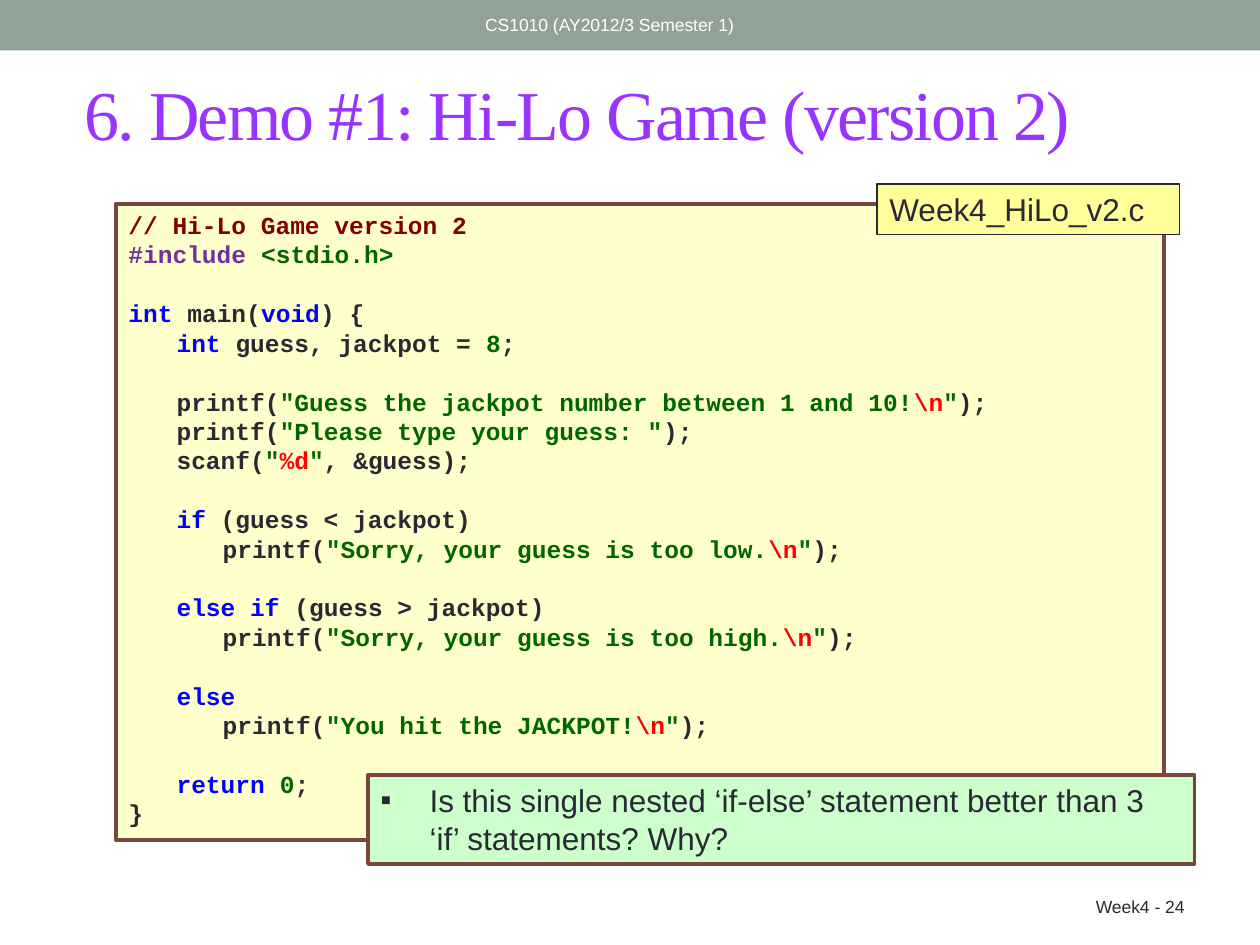
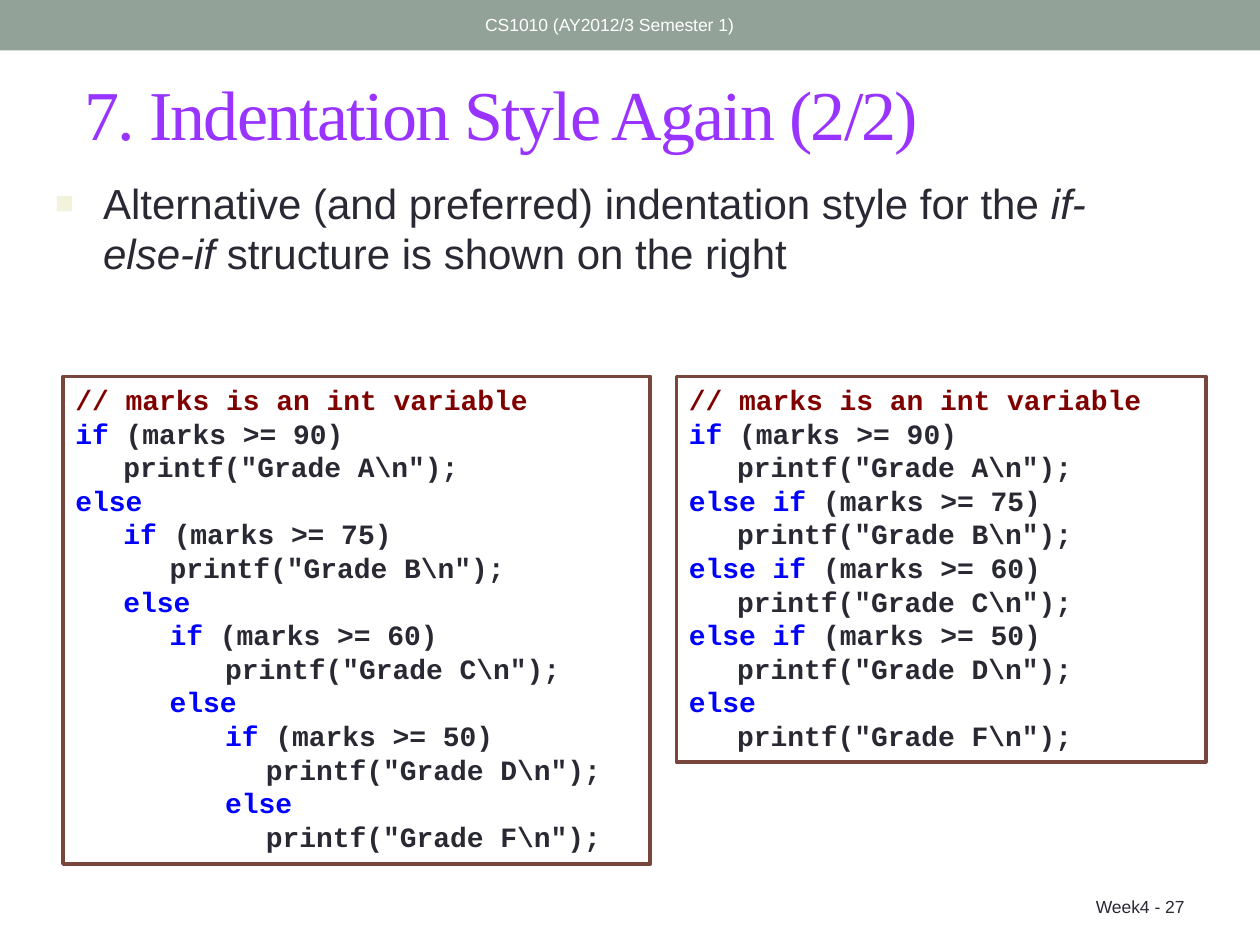
from lxml import etree
from pptx import Presentation
from pptx.dml.color import RGBColor
from pptx.enum import shapes, text
from pptx.oxml import ns
from pptx.util import Cm, Pt

SAGE = RGBColor(0x93, 0xA2, 0x99)
WHITE = RGBColor(0xFF, 0xFF, 0xFF)
INK = RGBColor(0x29, 0x29, 0x34)
PURPLE = RGBColor(0x99, 0x33, 0xFF)
BROWN = RGBColor(0x79, 0x46, 0x3D)
CREAM = RGBColor(0xFF, 0xFF, 0xCC)
YELLOW = RGBColor(0xFF, 0xFF, 0x99)
MINT = RGBColor(0xCC, 0xFF, 0xCC)
MAROON = RGBColor(0x80, 0x00, 0x00)
VIOLET = RGBColor(0x70, 0x30, 0xA0)
GREEN = RGBColor(0x00, 0x66, 0x00)
BLUE = RGBColor(0x00, 0x00, 0xFF)
RED = RGBColor(0xFF, 0x00, 0x00)
TINTS = {"d": INK, "c": MAROON, "p": VIOLET, "g": GREEN, "b": BLUE, "r": RED}

HEADER = "CS1010 (AY2012/3 Semester 1)"
TABS = (0.97, 1.9, 3.02, 3.84, 4.75)

GAME = [
    "|c// Hi-Lo Game version 2",
    "|p#include |g<stdio.h>",
    "",
    "|bint|d main(|bvoid|d) {",
    "|d\t|bint |dguess, jackpot = |g8|d;",
    "",
    '|d\tprintf(|g"Guess the jackpot number between 1 and 10!|r\\n|g"|d);',
    '|d\tprintf(|g"Please type your guess: "|d);',
    '|d\tscanf(|g"|r%d|g"|d, &guess);',
    "",
    "|d\t|bif|d (guess < jackpot)",
    '|d\t\tprintf(|g"Sorry, your guess is too low.|r\\n|g"|d);',
    "",
    "|d\t|belse if|d (guess > jackpot)",
    '|d\t\tprintf(|g"Sorry, your guess is too high.|r\\n|g"|d);',
    "",
    "|d\t|belse",
    '|d\t\tprintf(|g"You hit the JACKPOT!|r\\n|g"|d);',
    "",
    "|d\t|breturn |g0|d;",
    "|d}",
]
NOTE = "|c// marks is an int variable"
NESTED = [
    NOTE,
    "|bif|d (marks >= 90)",
    '|d\tprintf("Grade A\\n");',
    "|belse",
    "|b\tif |d(marks >= 75)",
    '|d\t\tprintf("Grade B\\n");',
    "|b\telse",
    "|b\t\tif |d(marks >= 60)",
    '|d\t\t\tprintf("Grade C\\n");',
    "|b\t\telse",
    "|b\t\t\tif |d(marks >= 50)",
    '|d\t\t\t\tprintf("Grade D\\n");',
    "|b\t\t\telse",
    '|d\t\t\t\tprintf("Grade F\\n");',
]
FLAT = [
    NOTE,
    "|bif|d (marks >= 90)",
    '|d\tprintf("Grade A\\n");',
    "|belse if |d(marks >= 75)",
    '|d\tprintf("Grade B\\n");',
    "|belse if |d(marks >= 60)",
    '|d\tprintf("Grade C\\n");',
    "|belse if |d(marks >= 50)",
    '|d\tprintf("Grade D\\n");',
    "|belse",
    '|d\tprintf("Grade F\\n");',
]
STYLE = [
    ("Alternative (and preferred) indentation style for the ", False),
    ("if-else-if", True),
    (" structure is shown on the right", False),
]
QUERY = [("Is this single nested ‘if-else’ statement better than 3 ‘if’ statements? Why?", False)]


def node(parent, tag, **attrs):
    item = etree.SubElement(parent, ns.qn(tag))
    for key, value in attrs.items():
        item.set(key, str(value))
    return item


def write(para, words, color, **form):
    run = para.add_run()
    run.text = words
    run.font.color.rgb = color
    for key, value in form.items():
        setattr(run.font, key, value)
    return run


def panel(slide, place, fill, line=None, width=2.08):
    box = slide.shapes.add_shape(shapes.MSO_SHAPE.RECTANGLE, *map(Cm, place))
    box.shadow.inherit = False
    box.fill.solid()
    box.fill.fore_color.rgb = fill
    if line is None:
        box.line.fill.background()
    else:
        box.line.color.rgb = line
        box.line.width = Pt(width)
    return setup(box.text_frame)


def setup(frame, anchor=text.MSO_ANCHOR.TOP, align=text.PP_ALIGN.LEFT):
    form = {"word_wrap": True, "auto_size": text.MSO_AUTO_SIZE.NONE, "vertical_anchor": anchor}
    for key, value in form.items():
        setattr(frame, key, value)
    frame.paragraphs[0].alignment = align
    return frame


def label(slide, place, words, color, anchor, align=text.PP_ALIGN.LEFT):
    frame = setup(slide.shapes.add_textbox(*map(Cm, place)).text_frame, anchor, align)
    write(frame.paragraphs[0], words, color, name="Arial", size=Pt(10))


def bullet(frame, parts, size, indent, char, color=INK, scale=100):
    para = frame.paragraphs[0]
    props = para._p.get_or_add_pPr()
    props.set("marL", str(Cm(indent)))
    props.set("indent", str(-Cm(indent)))
    node(node(props, "a:buClr"), "a:srgbClr", val=color)
    node(props, "a:buSzPct", val=scale * 1000)
    node(props, "a:buFont", typeface="Arial")
    node(props, "a:buChar", char=char)
    for words, slant in parts:
        write(para, words, INK, name="Arial", size=Pt(size), italic=slant)


def listing(slide, place, fill, lines, size):
    frame = panel(slide, place, fill, BROWN)
    for row, line in enumerate(lines):
        para = frame.add_paragraph() if row else frame.paragraphs[0]
        para.alignment = text.PP_ALIGN.LEFT
        stops = node(para._p.get_or_add_pPr(), "a:tabLst")
        for tab in TABS:
            node(stops, "a:tab", pos=Cm(tab), algn="l")
        for piece in line.split("|")[1:]:
            write(para, piece[1:], TINTS[piece[0]], name="Courier New", size=Pt(size), bold=True)
        if not line:
            end = node(para._p, "a:endParaRPr", sz=size * 100, b=1)
            node(end, "a:latin", typeface="Courier New")


def start(deck, heading, number):
    slide = deck.slides.add_slide(deck.slide_layouts[5])
    panel(slide, (0, 0, 25.4, 1.02), SAGE)
    title = slide.shapes.title
    for key, value in zip(("left", "top", "width", "height"), (1.45, 1.09, 23.29, 2.34)):
        setattr(title, key, Cm(value))
    frame = setup(title.text_frame, text.MSO_ANCHOR.MIDDLE)
    run = write(frame.paragraphs[0], heading, PURPLE, name="Times New Roman", size=Pt(40))
    run.font._element.set("spc", "-100")
    label(slide, (9.53, 0.05, 11.43, 0.91), HEADER, WHITE, text.MSO_ANCHOR.MIDDLE)
    label(slide, (18.21, 17.35, 5.92, 1.27), f"Week4 - {number}", INK,
          text.MSO_ANCHOR.BOTTOM, text.PP_ALIGN.RIGHT)
    return slide


def main():
    deck = Presentation()
    deck.slide_width, deck.slide_height = Cm(25.4), Cm(19.05)

    slide = start(deck, "6. Demo #1: Hi-Lo Game (version 2)", 24)
    listing(slide, (2.34, 4.11, 21.13, 12.83), CREAM, GAME, 14)
    tag = panel(slide, (17.68, 3.71, 6.1, 1.02), YELLOW, INK, 0.75)
    write(tag.paragraphs[0], "Week4_HiLo_v2.c", INK, name="Arial", size=Pt(18))
    bullet(panel(slide, (7.42, 15.62, 16.66, 1.8), MINT, BROWN), QUERY, 18, 0.99, "▪")

    slide = start(deck, "7. Indentation Style Again (2/2)", 27)
    body = slide.shapes.add_textbox(*map(Cm, (0.86, 3.45, 22.86, 2.51)))
    bullet(setup(body.text_frame), STYLE, 24, 0.97, "■", RGBColor(0xF3, 0xF2, 0xDC), 75)
    listing(slide, (1.27, 7.59, 11.84, 9.83), WHITE, NESTED, 16)
    listing(slide, (13.64, 7.59, 10.67, 7.77), WHITE, FLAT, 16)

    deck.save("out.pptx")


if __name__ == "__main__":
    main()
